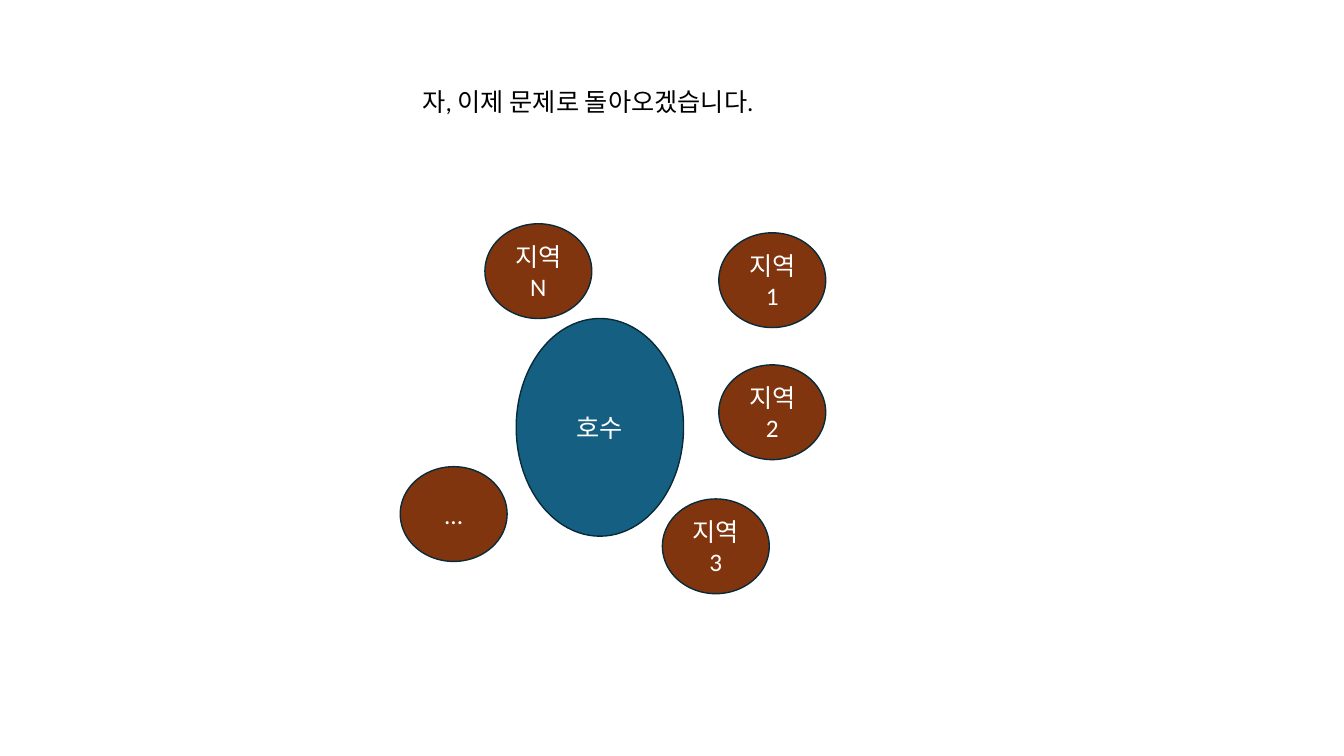
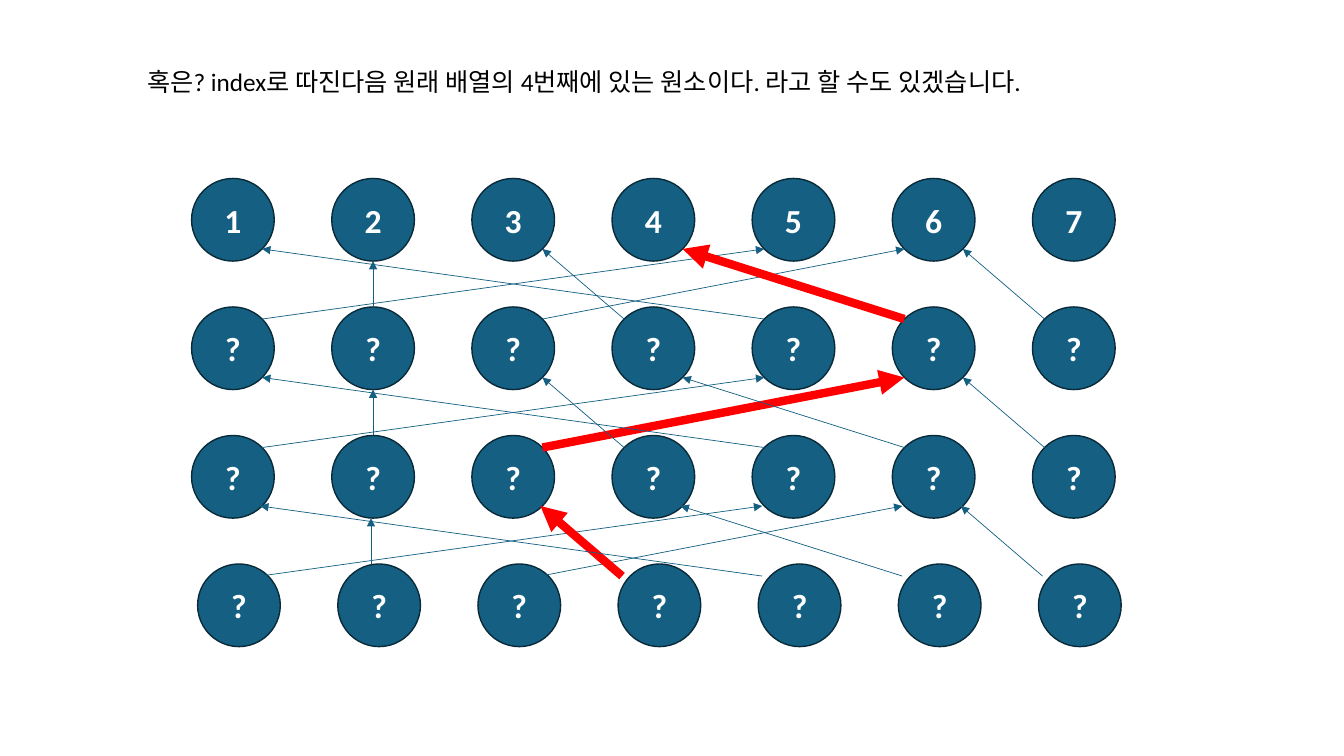
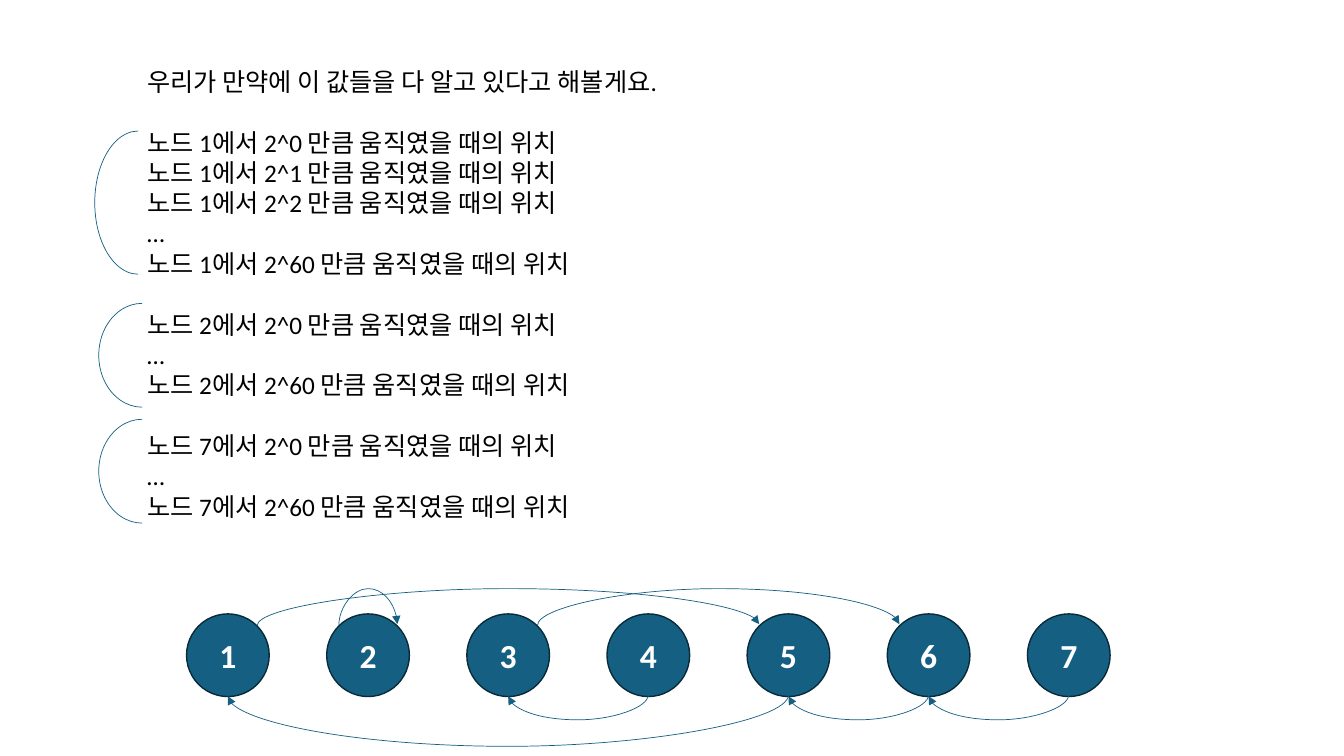
from lxml import etree
from pptx import Presentation, util as u
from pptx.dml.color import RGBColor
from pptx.enum import shapes, text
from pptx.oxml.ns import qn

BLUE, BROWN, EDGE, RED = "156082", "80350E", "092A39", "FF0000"
WHITE, BLACK = "FFFFFF", "000000"
LEFT, TOP, WIDE = 1.36, 0.61, 10.61  # text column
SIDE, STEP, DROP = 0.82, 1.39, 1.275  # node size, column pitch, row pitch
RAD, DIAG = SIDE / 2, 0.29  # node radius, and its reach at 45 degrees
PLAIN = {"name": "Calibri", "size": u.Pt(18), "bold": False}
BOLD = {"name": "Calibri", "size": u.Pt(24), "bold": True}


def paint(item, line, width, fill=None, tail=False):
    item.line.color.rgb = RGBColor.from_string(line)
    item.line.width = u.Pt(width)
    if fill:
        item.fill.solid()
        item.fill.fore_color.rgb = RGBColor.from_string(fill)
    prop = item._element.spPr
    if tail:
        etree.SubElement(prop.find(qn("a:ln")), qn("a:tailEnd"), type="triangle")
    etree.SubElement(prop, qn("a:effectLst"))


def write(item, groups, font, color, align, anchor):
    frame = item.text_frame
    frame.word_wrap = True
    frame.auto_size = text.MSO_AUTO_SIZE.NONE
    frame.vertical_anchor = anchor
    para = None
    for group in groups:
        for row, line in enumerate(group):
            gap = 22 if para is not None and row == 0 else 0
            para = frame.paragraphs[0] if para is None else frame.add_paragraph()
            prop = para._p.get_or_add_pPr()
            prop.set("marL", "0")
            prop.set("indent", "0")
            etree.SubElement(prop, qn("a:buNone"))
            para.space_before = u.Pt(gap)
            para.alignment = align
            run = para.add_run()
            run.text = line
            for key, val in font.items():
                setattr(run.font, key, val)
            run.font.color.rgb = RGBColor.from_string(color)


deck = Presentation()
deck.slide_width, deck.slide_height = u.Inches(13.33), u.Inches(7.5)

# Slides with their titles: layout, place, text
heads = [
    (5, 4.09, 0.81, 6.25, "자, 이제 문제로 돌아오겠습니다."),
    (5, LEFT, TOP, WIDE, "혹은? index로 따진다음 원래 배열의 4번째에 있는 원소이다. 라고 할 수도 있겠습니다."),
    (1, LEFT, TOP, WIDE, "우리가 만약에 이 값들을 다 알고 있다고 해볼게요."),
]
for kind, x, y, w, line in heads:
    title = deck.slides.add_slide(deck.slide_layouts[kind]).shapes.title
    title.left, title.top, title.width, title.height = map(u.Inches, (x, y, w, 0.4))
    write(title, [[line]], PLAIN, BLACK, text.PP_ALIGN.LEFT, text.MSO_ANCHOR.TOP)
lake, grid, table = deck.slides

# List of moves on the last slide
moves = [(1, ["0", "1", "2", "…", "60"]), (2, ["0", "…", "60"]), (7, ["0", "…", "60"])]
groups = [
    [p if p == "…" else f"노드 {node}에서 2^{p} 만큼 움직였을 때의 위치" for p in powers]
    for node, powers in moves
]
body = table.placeholders[1]
body.left, body.top, body.width, body.height = map(u.Inches, (LEFT, TOP + 0.6, WIDE, 4.35))
write(body, groups, PLAIN, BLACK, text.PP_ALIGN.LEFT, text.MSO_ANCHOR.TOP)

# Discs: slide, place, size, fill, label, font
discs = [(lake, 5.12, 3.16, 1.66, 2.16, BLUE, "호수", PLAIN)]
areas = [(7.13, 2.31, "지역1"), (7.13, 3.62, "지역2"), (6.57, 4.95, "지역3"),
         (4.81, 2.22, "지역N"), (3.97, 4.63, "...")]
discs += [(lake, x, y, 1.06, 0.94, BROWN, label, PLAIN) for x, y, label in areas]
rows = [(grid, 1.9, 1.77 + row * DROP, row > 0) for row in range(3)]
rows += [(grid, 1.96, 1.77 + 3 * DROP, True), (table, 1.85, 6.09, False)]
for slide, x, y, hidden in rows:
    for col in range(7):
        label = "?" if hidden else str(col + 1)
        discs.append((slide, x + col * STEP, y, SIDE, SIDE, BLUE, label, BOLD))
for slide, x, y, w, h, fill, label, font in discs:
    disc = slide.shapes.add_shape(shapes.MSO_SHAPE.OVAL, *map(u.Inches, (x, y, w, h)))
    paint(disc, EDGE, 1, fill)
    write(disc, [[label]], font, WHITE, text.PP_ALIGN.CENTER, text.MSO_ANCHOR.MIDDLE)

# Arrows from each row up to the one above, with the walk in red
goal = {1: 5, 2: 2, 3: 6, 4: 3, 5: 1, 6: 4, 7: 6}
walk = [(3, 4), (2, 3), (1, 6)]
for row, x in [(2, 2.31), (3, 2.29), (1, 2.31)]:
    y = 1.77 + RAD + row * DROP
    for src, dst in goal.items():
        way = (dst > src) - (dst < src)
        rise = DIAG if way else RAD
        ends = (x + (src - 1) * STEP + way * DIAG, y - rise,
                x + (dst - 1) * STEP - way * DIAG, y - DROP + rise)
        arrow = grid.shapes.add_connector(shapes.MSO_CONNECTOR.STRAIGHT, *map(u.Inches, ends))
        color, width = (RED, 6) if (row, src) in walk else (BLUE, 0.5)
        paint(arrow, color, width, tail=True)

# Arcs between the nodes: from, to, height in points, above or below
arcs = [(1, 5, 26.64, True), (2, 2, 26.64, True), (3, 6, 26.64, True),
        (4, 3, 18, False), (5, 1, 37.1, False), (6, 5, 18, False), (7, 6, 18, False)]
thin = 1 / 72  # each arc is one point wide before its quarter turn
for src, dst, bulge, above in arcs:
    mid = 1.85 + RAD + ((src + dst) / 2 - 1) * STEP
    span = abs(dst - src) * STEP
    if above:
        span = abs(span - 2 * DIAG)
    y = 6.2 if above else 6.9
    near, far = (mid - thin / 2, y - span / 2), (mid + thin / 2, y + span / 2)
    ends = far + near if above else near + far
    arc = table.shapes.add_connector(shapes.MSO_CONNECTOR.CURVE, *map(u.Inches, ends))
    prop = arc._element.spPr
    prop.find(qn("a:xfrm")).set("rot", "5400000")
    adj = prop.find(qn("a:prstGeom")).find(qn("a:avLst"))
    etree.SubElement(adj, qn("a:gd"), name="adj1", fmla=f"val {round(bulge * 100000)}")
    paint(arc, BLUE, 0.5, tail=True)

# Brackets beside the groups
for x, y, h in [(0.94, 1.3, 1.42), (0.98, 3.01, 1.03), (0.98, 4.16, 1.03)]:
    brace = table.shapes.add_shape(shapes.MSO_SHAPE.LEFT_BRACKET, *map(u.Inches, (x, y, 0.43, h)))
    brace.adjustments[0] = 1.67
    brace.fill.background()
    paint(brace, BLUE, 0.5)

deck.save("out.pptx")
